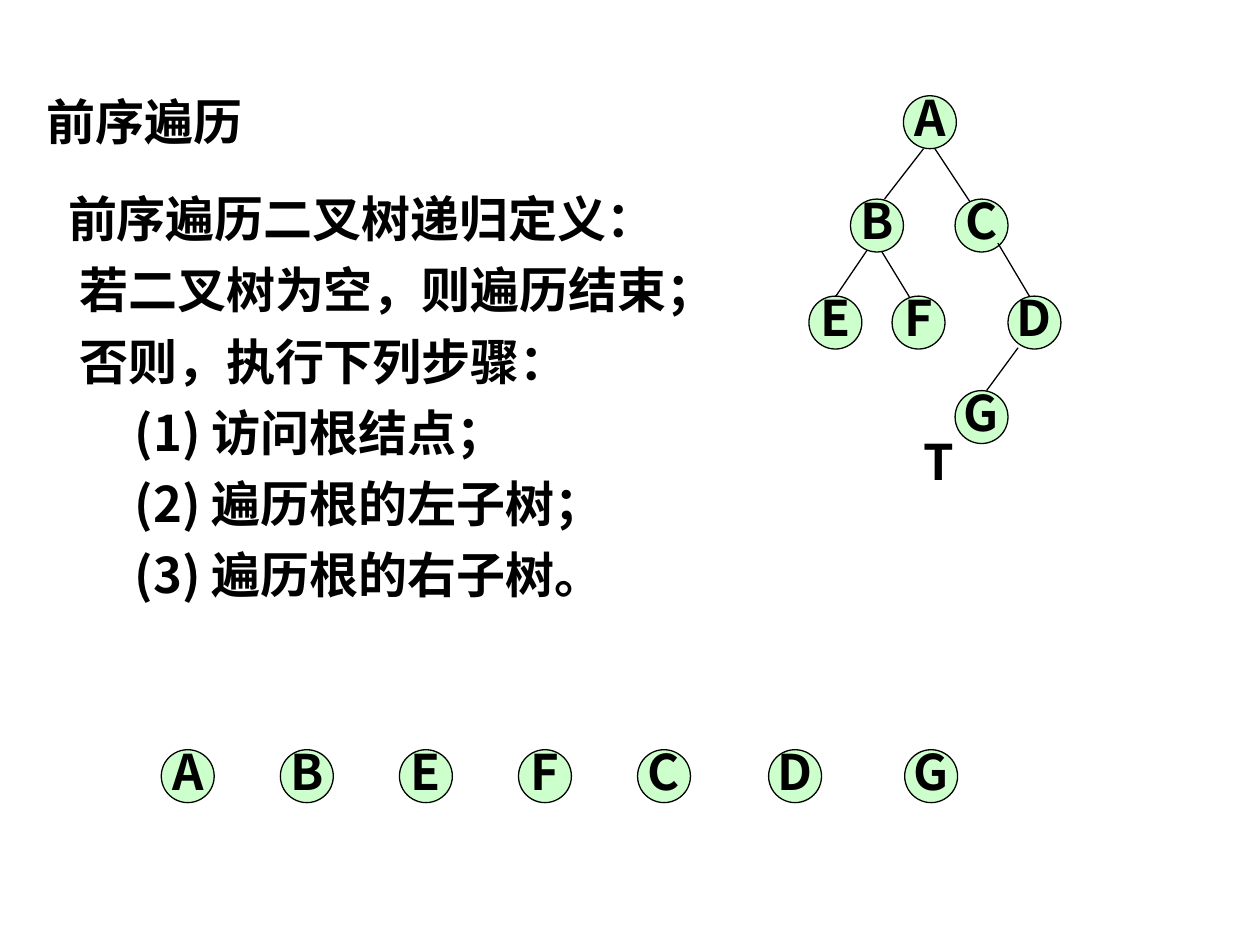
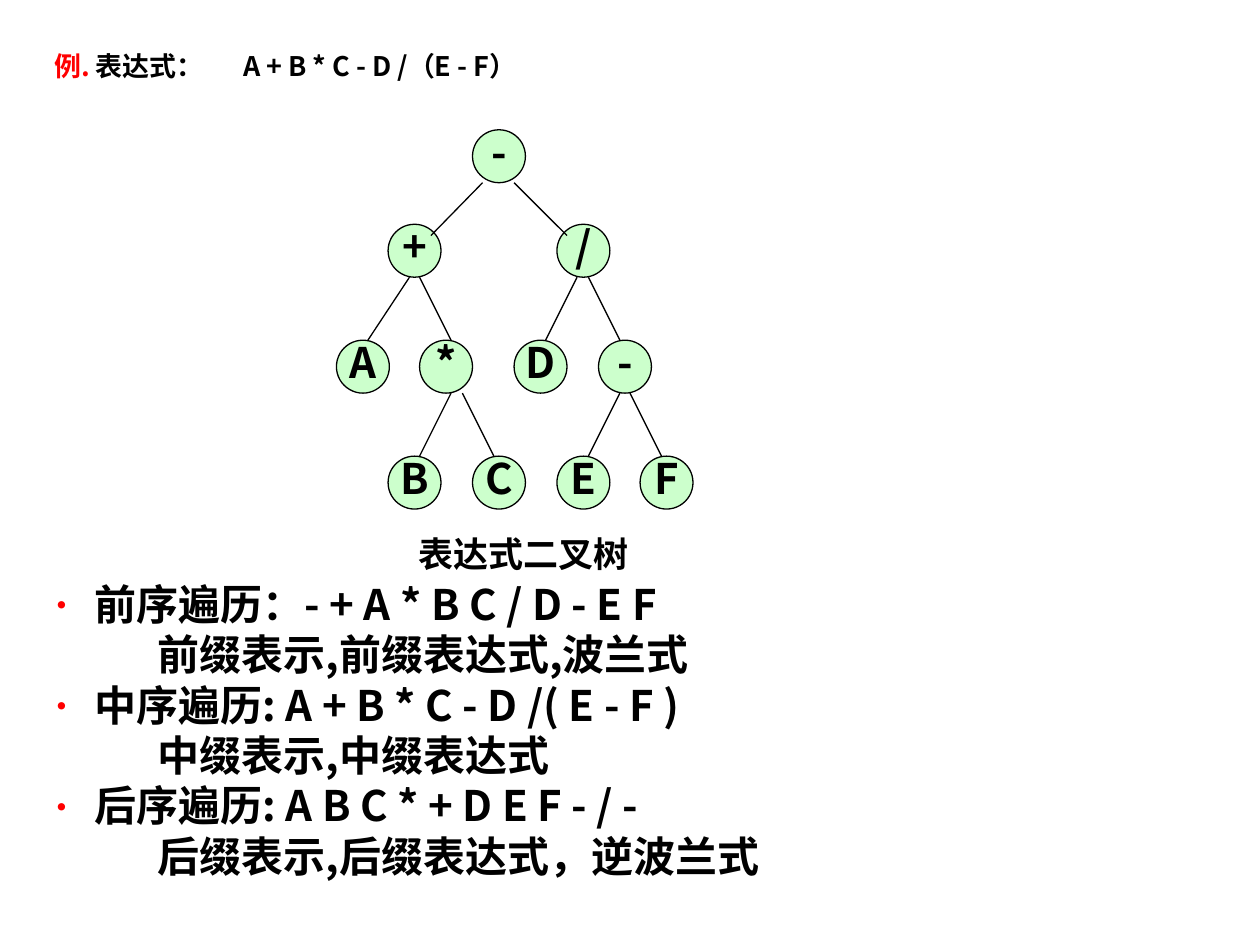
"""Build two slides on binary tree traversal."""
from typing import NamedTuple

from lxml.etree import SubElement
from pptx import Presentation
from pptx.dml.color import RGBColor
from pptx.enum.shapes import MSO_CONNECTOR, MSO_SHAPE
from pptx.enum.text import MSO_ANCHOR, MSO_AUTO_SIZE, PP_ALIGN
from pptx.oxml.ns import qn
from pptx.util import Inches, Pt

FACE = "Noto Sans CJK SC"
BLACK, RED, MINT = "000000", "FF0000", "CCFFCC"
SIZE = 0.42
PITCH = 1.2
FRAME = {"auto_size": MSO_AUTO_SIZE.NONE, "vertical_anchor": MSO_ANCHOR.TOP, "word_wrap": True}
LABEL = {**FRAME, "word_wrap": False}
CENTER = {**LABEL, "vertical_anchor": MSO_ANCHOR.MIDDLE}


class Node(NamedTuple):
    text: str
    left: float
    top: float


class Edge(NamedTuple):
    x1: float
    y1: float
    x2: float
    y2: float


class Run(NamedTuple):
    text: str
    color: str = BLACK


class Line(NamedTuple):
    runs: list[Run]
    size: float
    indent: float = 0
    before: float = 0
    bullet: bool = False
    tab: float = 0
    spacing: float = 0
    align: PP_ALIGN = PP_ALIGN.LEFT


def paint(value: str) -> RGBColor:
    return RGBColor.from_string(value)


def apply(target, values: dict) -> None:
    for name, value in values.items():
        setattr(target, name, value)


def place(shape, left: float, top: float, width: float, height: float) -> None:
    box = {"left": left, "top": top, "width": width, "height": height}
    apply(shape, {name: Inches(value) for name, value in box.items()})


def mark(para, line: Line) -> None:
    props = para._p.get_or_add_pPr()
    hang = 0.4 if line.bullet else 0
    props.set("marL", str(Inches(line.indent + hang)))
    props.set("indent", str(-Inches(hang)))
    if line.bullet:
        color = SubElement(props, qn("a:buClr"))
        SubElement(color, qn("a:srgbClr"), val=RED)
        SubElement(props, qn("a:buSzPct"), val="83000")
        SubElement(props, qn("a:buFont"), typeface=FACE)
        SubElement(props, qn("a:buChar"), char="·")
    else:
        SubElement(props, qn("a:buNone"))
    if line.tab:
        tabs = SubElement(props, qn("a:tabLst"))
        SubElement(tabs, qn("a:tab"), pos=str(Inches(line.tab)), algn="l")


def write(shape, lines: list[Line], frame: dict) -> None:
    text = shape.text_frame
    apply(text, frame)
    for index, line in enumerate(lines):
        para = text.add_paragraph() if index else text.paragraphs[0]
        mark(para, line)
        apply(para, {
            "alignment": line.align,
            "line_spacing": line.spacing or Pt(line.size * PITCH),
            "space_before": Pt(line.before),
            "space_after": Pt(0),
        })
        for part in line.runs:
            run = para.add_run()
            run.text = part.text
            apply(run.font, {"size": Pt(line.size), "bold": True, "name": FACE})
            run.font.color.rgb = paint(part.color)
            SubElement(run._r.get_or_add_rPr(), qn("a:ea"), typeface=FACE)


def label(slide, line: Line, *box: float) -> None:
    shape = slide.shapes.add_textbox(0, 0, 0, 0)
    place(shape, *box)
    write(shape, [line], LABEL)


def draw_nodes(slide, nodes: list[Node], size: float) -> None:
    for node in nodes:
        shape = slide.shapes.add_shape(MSO_SHAPE.OVAL, 0, 0, 0, 0)
        place(shape, node.left, node.top, SIZE, SIZE)
        shape.shadow.inherit = False
        shape.fill.solid()
        shape.fill.fore_color.rgb = paint(MINT)
        shape.line.color.rgb = paint(BLACK)
        shape.line.width = Pt(0.75)
        write(shape, [Line([Run(node.text)], size, spacing=0.8, align=PP_ALIGN.CENTER)], CENTER)


def draw_edges(slide, edges: list[Edge]) -> None:
    for edge in edges:
        link = slide.shapes.add_connector(MSO_CONNECTOR.STRAIGHT, *map(Inches, edge))
        link.line.color.rgb = paint(BLACK)
        link.line.width = Pt(0.75)
        SubElement(link._element.spPr, qn("a:effectLst"))


def start(deck, title: Line, head: tuple, lines: list[Line], body: tuple):
    slide = deck.slides.add_slide(deck.slide_layouts[1])
    for shape, box, text in zip(slide.placeholders, (head, body), ([title], lines)):
        place(shape, *box)
        write(shape, text, FRAME)
    return slide


def preorder(deck) -> None:
    steps = [
        ("前序遍历二叉树递归定义：", 0.17),
        ("若二叉树为空，则遍历结束；", 0.26),
        ("否则，执行下列步骤：", 0.26),
        ("(1) 访问根结点；", 0.7),
        ("(2) 遍历根的左子树；", 0.7),
        ("(3) 遍历根的右子树。", 0.7),
    ]
    lines = [
        Line([Run(text)], 28, indent, before=7 if index else 0, align=PP_ALIGN.JUSTIFY)
        for index, (text, indent) in enumerate(steps)
    ]
    slide = start(deck, Line([Run("前序遍历")], 28), (0.27, 0.68, 6.08, 0.57),
                  lines, (0.27, 1.45, 6.08, 5.45))
    draw_edges(slide, [
        Edge(7.33, 1.18, 7.02, 1.58), Edge(7.42, 1.18, 7.75, 1.68),
        Edge(7, 2, 7.25, 2.41), Edge(6.92, 1.93, 6.58, 2.43),
    ])
    draw_nodes(slide, [
        Node("A", 7.17, 0.76), Node("B", 6.75, 1.58), Node("C", 7.58, 1.58),
        Node("E", 6.42, 2.35), Node("F", 7.08, 2.35), Node("D", 8, 2.35),
        Node("G", 7.58, 3.1),
    ], 28)
    draw_edges(slide, [Edge(7.92, 1.93, 8.17, 2.35), Edge(8.08, 2.76, 7.83, 3.1)])
    label(slide, Line([Run("T")], 28), 7.23, 3.38, 0.42, 0.57)
    places = [1.28 + 0.945 * step for step in range(5)] + [6.1, 7.18]
    draw_nodes(slide, [Node(text, left, 5.95) for text, left in zip("ABEFCDG", places)], 28)


def formula(deck) -> None:
    orders = [
        ("前序遍历：- + A * B C / D - E F", "前缀表示,前缀表达式,波兰式"),
        ("中序遍历: A + B * C - D /( E - F )", "中缀表示,中缀表达式"),
        ("后序遍历: A B C * + D E F - / -", "后缀表示,后缀表达式，逆波兰式"),
    ]
    lines = []
    for order, names in orders:
        lines += [Line([Run(order)], 24, bullet=True), Line([Run(names)], 24, 0.9)]
    title = Line([Run("例. ", RED), Run("表达式：\tA + B * C - D /（E - F）")],
                 15.4, tab=1.47, spacing=0.8)
    slide = start(deck, title, (0.33, 0.39, 8.84, 0.37), lines, (0.25, 4.54, 8.08, 2.5))
    rows = [
        (1.03, "-", [3.75]),
        (1.78, "+/", [3.08, 4.42]),
        (2.7, "A*D-", [2.67, 3.33, 4.08, 4.75]),
        (3.62, "BCEF", [3.08, 3.75, 4.42, 5.08]),
    ]
    draw_nodes(slide, [
        Node(text, left, top) for top, signs, lefts in rows for text, left in zip(signs, lefts)
    ], 24)
    levels = [
        (1.45, 1.87, [(3.83, 3.42), (4.08, 4.5)]),
        (2.2, 2.7, [(3.25, 2.92), (3.33, 3.58), (4.58, 4.33), (4.67, 4.92)]),
        (3.12, 3.62, [(3.58, 3.33), (3.67, 3.92), (4.92, 4.67), (5, 5.25)]),
    ]
    draw_edges(slide, [
        Edge(x1, top, x2, base) for top, base, pairs in levels for x1, x2 in pairs
    ])
    label(slide, Line([Run("表达式二叉树")], 20), 3.22, 4.18, 1.87, 0.44)


def main() -> None:
    deck = Presentation()
    apply(deck, {"slide_width": Inches(10), "slide_height": Inches(7.5)})
    preorder(deck)
    formula(deck)
    deck.save("out.pptx")


if __name__ == "__main__":
    main()
